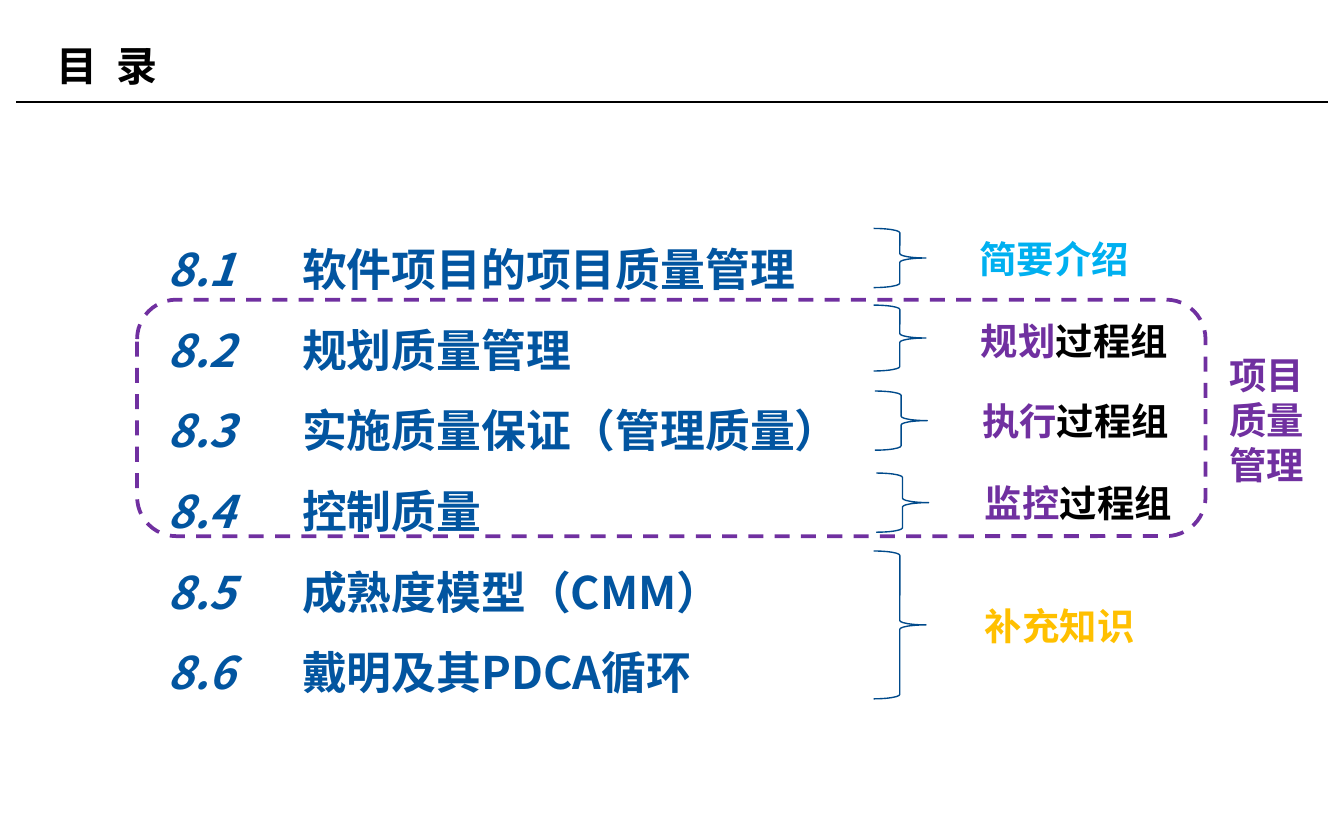
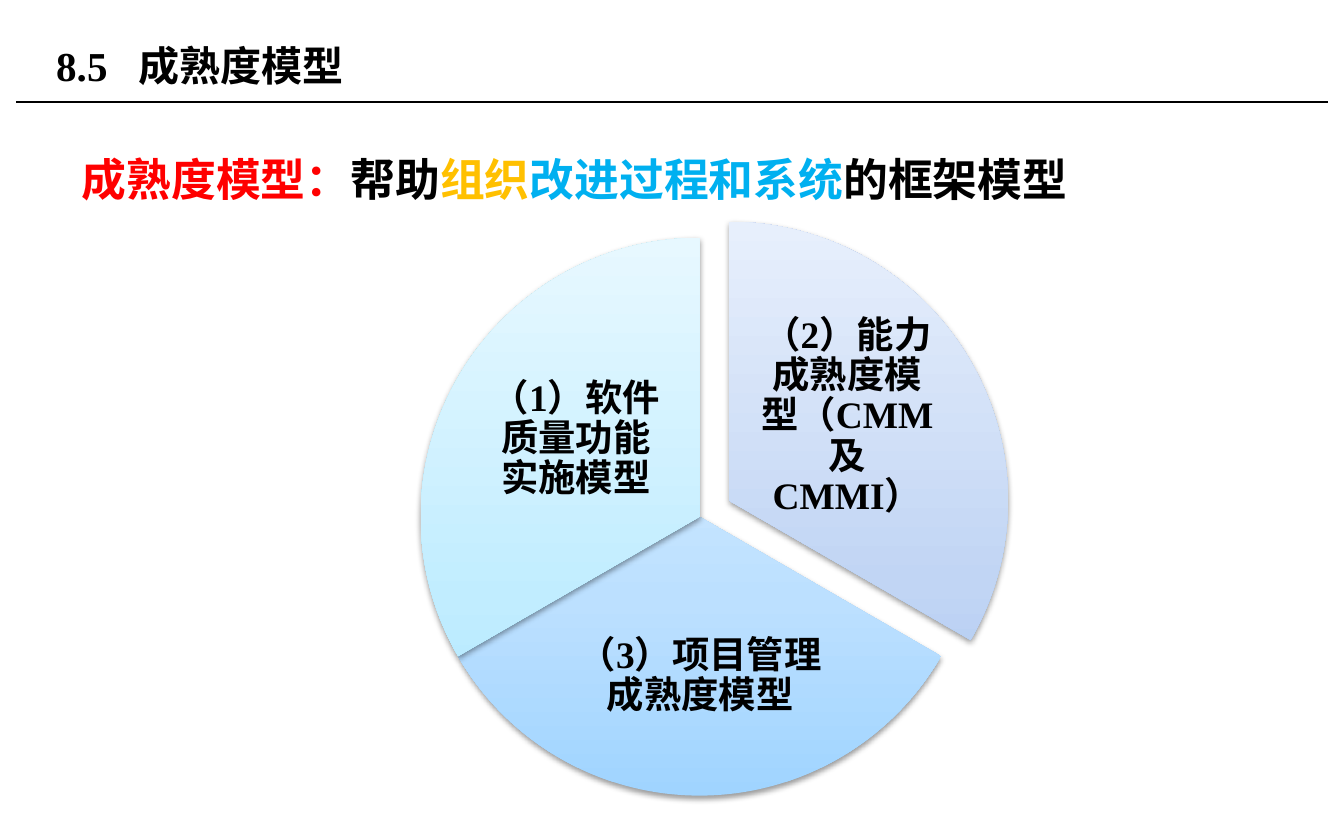
from lxml import etree
from pptx import Presentation
from pptx.dml.color import RGBColor
from pptx.enum.dml import MSO_LINE
from pptx.enum.shapes import MSO_CONNECTOR, MSO_SHAPE
from pptx.enum.text import MSO_ANCHOR, PP_ALIGN
from pptx.oxml import parse_xml
from pptx.oxml.ns import nsdecls, qn
from pptx.util import Inches, Pt

STRAIGHT = MSO_CONNECTOR.STRAIGHT
BRACE, ROUNDED, PIE = MSO_SHAPE.RIGHT_BRACE, MSO_SHAPE.ROUNDED_RECTANGLE, MSO_SHAPE.PIE
MIDDLE, CENTER = MSO_ANCHOR.MIDDLE, PP_ALIGN.CENTER
DASH = MSO_LINE.DASH

BLACK = RGBColor(0x00, 0x00, 0x00)
NAVY = RGBColor(0x00, 0x4A, 0x8B)
BLUE = RGBColor(0x02, 0x55, 0xA0)
SKY = RGBColor(0x00, 0xB0, 0xF0)
PURPLE = RGBColor(0x70, 0x30, 0xA0)
GOLD = RGBColor(0xFF, 0xC0, 0x00)
RED = RGBColor(0xFF, 0x00, 0x00)

SERIF, LABEL, CHINESE = "Times New Roman", "Karla", "Noto Sans CJK SC"

TOPICS = [
    ("8.1", "软件项目的项目质量管理"),
    ("8.2", "规划质量管理"),
    ("8.3", "实施质量保证（管理质量）"),
    ("8.4", "控制质量"),
    ("8.5", "成熟度模型（CMM）"),
    ("8.6", "戴明及其PDCA循环"),
]
GROUP = ("过程组", BLACK)
BRACES = [
    ((6.5, 1.7, 0.39, 0.44), (7.19, 1.71, 1.32, 0.44), [("简要介绍", SKY)]),
    ((6.5, 2.27, 0.39, 0.49), (7.2, 2.32, 1.6, 0.44), [("规划", PURPLE), GROUP]),
    ((6.51, 2.91, 0.39, 0.44), (7.21, 2.91, 1.6, 0.44), [("执行", PURPLE), GROUP]),
    ((6.52, 3.52, 0.39, 0.44), (7.23, 3.52, 1.6, 0.44), [("监控", PURPLE), GROUP]),
    ((6.5, 4.1, 0.39, 1.1), (7.23, 4.44, 1.32, 0.44), [("补充知识", GOLD)]),
]
PIE_SIZE = 4.15
SLICES = [
    ((3.35, 1.65), 270, ("A6C4F1", "C1D5F4", "E7EFFC"),
     "（2）能力成熟度模型（CMM 及CMMI）", (5.6, 2.41, 1.41, 1.38)),
    ((3.13, 1.77), 30, ("A0D4FF", "BCE0FF", "E5F3FF"),
     "（3）项目管理成熟度模型", (4.27, 4.39, 1.88, 1.28)),
    ((3.13, 1.77), 150, ("A7E6FF", "C1EDFF", "E7F8FF"),
     "（1）软件质量功能实施模型", (3.58, 2.58, 1.41, 1.38)),
]


def place(bounds):
    """Turn left, top, width and height into lengths."""
    return [Inches(value) for value in bounds]


def add_box(page, bounds, wrap=True):
    """Add an empty text box and return its text frame."""
    frame = page.shapes.add_textbox(*place(bounds)).text_frame
    frame.word_wrap = wrap
    return frame


def add_span(para, text, color, size, font, italic=False):
    """Append a bold run with its Latin and East Asian fonts."""
    span = para.add_run()
    span.text = text
    span.font.size = Pt(size)
    span.font.bold = True
    span.font.italic = italic
    span.font.color.rgb = color
    span.font.name = font
    east = etree.SubElement(span.font._element, qn("a:ea"))
    east.set("typeface", CHINESE)


def add_title(page, lead, rest, tab):
    """Add the title, its two parts set apart by a tab, and the rule below."""
    rule = page.shapes.add_connector(
        STRAIGHT, Inches(0.12), Inches(0.76), Inches(9.88), Inches(0.76))
    rule.line.color.rgb = BLACK
    rule.line.width = Pt(0.75)
    etree.SubElement(rule._element.spPr, qn("a:effectLst"))
    frame = add_box(page, (0.32, 0.13, 6.38, 0.71))
    frame.vertical_anchor = MIDDLE
    para = frame.paragraphs[0]
    tabs = etree.SubElement(para._p.get_or_add_pPr(), qn("a:tabLst"))
    etree.SubElement(tabs, qn("a:tab"), pos=str(Inches(tab)), algn="l")
    add_span(para, f"{lead}\t{rest}", BLACK, 22, SERIF)


def add_outline(page, kind, bounds, color, width):
    """Add an unfilled preset shape."""
    shape = page.shapes.add_shape(kind, *place(bounds))
    shape.shadow.inherit = False
    shape.fill.background()
    shape.line.color.rgb = color
    shape.line.width = Pt(width)
    return shape


def add_topics(page):
    """Add the numbered list of topics."""
    frame = add_box(page, (1.15, 1.55, 5.27, 3.66))
    for index, (number, topic) in enumerate(TOPICS):
        para = frame.add_paragraph() if index else frame.paragraphs[0]
        para.line_spacing = 1.5
        add_span(para, f"{number}\t", BLUE, 24, CHINESE, italic=True)
        add_span(para, topic, BLUE, 24, CHINESE)


def add_slice(page, corner, start, colors):
    """Add a third of the pie with a gradient and a soft shadow."""
    shape = page.shapes.add_shape(PIE, *place((*corner, PIE_SIZE, PIE_SIZE)))
    shape.adjustments[0] = start * 0.6
    shape.adjustments[1] = (start + 120) % 360 * 0.6
    shape.line.fill.background()
    stops = "".join(
        f'<a:gs pos="{position}000"><a:srgbClr val="{color}"/></a:gs>'
        for position, color in zip((0, 35, 100), colors))
    properties = shape._element.spPr
    properties.find(qn("a:prstGeom")).addnext(parse_xml(
        f'<a:gradFill {nsdecls("a")}><a:gsLst>{stops}</a:gsLst>'
        '<a:lin ang="16200000" scaled="0"/></a:gradFill>'))
    properties.append(parse_xml(
        f'<a:effectLst {nsdecls("a")}>'
        '<a:outerShdw blurRad="40000" dist="20000" dir="5400000" rotWithShape="0">'
        '<a:srgbClr val="000000"><a:alpha val="38000"/></a:srgbClr>'
        '</a:outerShdw></a:effectLst>'))


def add_slice_label(page, text, bounds):
    """Add the centred label of a slice."""
    frame = add_box(page, bounds)
    frame.vertical_anchor = MIDDLE
    frame.margin_left = frame.margin_right = Inches(0.03)
    frame.margin_top = frame.margin_bottom = Inches(0.03)
    para = frame.paragraphs[0]
    para.alignment = CENTER
    para.line_spacing = 0.9
    add_span(para, text, BLACK, 20, SERIF)


def build_contents(page):
    """Fill the contents page."""
    add_title(page, "目", "录", 0.45)
    add_topics(page)
    for brace, bounds, spans in BRACES:
        add_outline(page, BRACE, brace, NAVY, 0.75)
        para = add_box(page, bounds, wrap=False).paragraphs[0]
        for text, color in spans:
            add_span(para, text, color, 20, LABEL)
    border = add_outline(page, ROUNDED, (1.02, 2.23, 7.95, 1.76), PURPLE, 2)
    border.line.dash_style = DASH
    para = add_box(page, (9.05, 2.57, 0.86, 1.11)).paragraphs[0]
    add_span(para, "项目质量管理", PURPLE, 20, SERIF)


def build_maturity(page):
    """Fill the maturity model page."""
    add_title(page, "8.5", "成熟度模型", 0.61)
    para = add_box(page, (0.51, 0.88, 8.98, 3.9)).paragraphs[0]
    para.line_spacing = 1.5
    for text, color in [("成熟度模型：", RED), ("帮助", BLACK), ("组织", GOLD),
                        ("改进过程和系统", SKY), ("的框架模型", BLACK)]:
        add_span(para, text, color, 24, SERIF)
    for corner, start, colors, text, bounds in SLICES:
        add_slice(page, corner, start, colors)
        add_slice_label(page, text, bounds)


def main():
    """Build and save the deck."""
    deck = Presentation()
    deck.slide_width, deck.slide_height = Inches(10), Inches(6.25)
    for build in (build_contents, build_maturity):
        build(deck.slides.add_slide(deck.slide_layouts[6]))
    deck.save("out.pptx")


if __name__ == "__main__":
    main()
